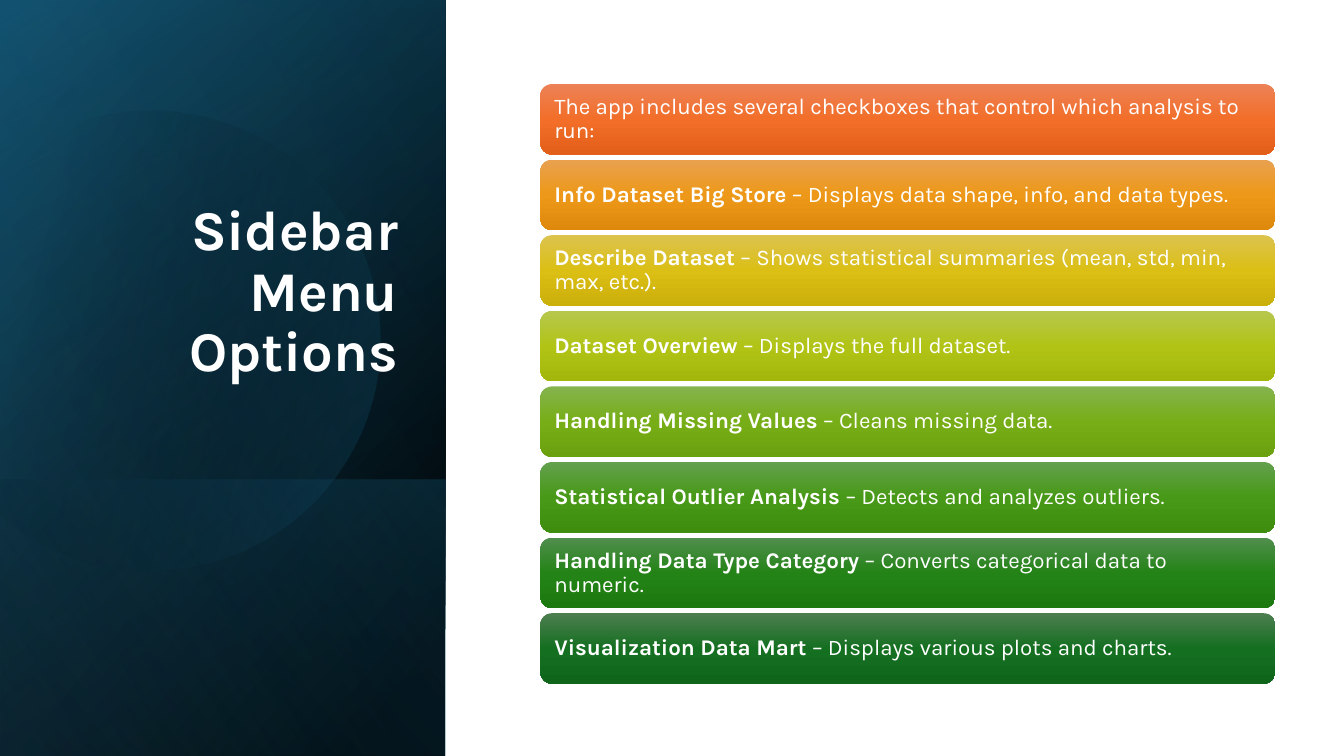
from math import cos, radians, sin
from lxml.etree import SubElement
from pptx import Presentation
from pptx.dml.color import RGBColor
from pptx.enum.shapes import MSO_SHAPE as SHAPE
from pptx.enum.text import MSO_ANCHOR as ANCHOR, PP_ALIGN as ALIGN
from pptx.oxml.ns import qn
from pptx.util import Pt

COLORS = {"white": "FFFFFF", "black": "000000", "navy": "104862",
          "teal": "156082", "sky": "46B1E1"}


def fill_gradient(shape, stops, angle):
    """Fill with (position %, hex colour, opacity %) stops; no line or shadow."""
    shape.shadow.inherit = False
    shape.line.fill.background()
    shape.fill.gradient()
    shape.fill.gradient_angle = 0
    gradient = shape._element.spPr.find(qn("a:gradFill"))
    gradient.find(qn("a:lin")).set("ang", str(angle * 60000))
    stop_list = gradient.find(qn("a:gsLst"))
    for old_stop in list(stop_list):
        stop_list.remove(old_stop)
    for position, color, opacity in stops:
        stop = SubElement(stop_list, qn("a:gs"), pos=str(position * 1000))
        rgb = SubElement(stop, qn("a:srgbClr"), val=color)
        if opacity < 100:
            SubElement(rgb, qn("a:alpha"), val=str(opacity * 1000))


def add_text(paragraph, text, size, bold):
    run = paragraph.add_run()
    run.text = text
    for name, value in {"name": "Karla", "size": Pt(size), "bold": bold}.items():
        setattr(run.font, name, value)
    run.font.color.rgb = RGBColor.from_string(COLORS["white"])


prs = Presentation()
prs.slide_width, prs.slide_height = Pt(960), Pt(540)
slide = prs.slides.add_slide(prs.slide_layouts[5])
shapes = slide.shapes

# Left panel: turned rectangles as (left, top, width, height), stops, angle
PANEL = (-110.9, 110.9, 540, 318.2)
black, teal = COLORS["black"], COLORS["teal"]
layers = [
    (PANEL, [(8, black, 100), (100, COLORS["navy"], 100)], 50),
    (PANEL, [(0, black, 0), (99, teal, 46)], 30),
    ((60.5, 282.2, 197.3, 318.2), [(2, teal, 29), (100, black, 30)], 130),
    ("disc", [(29, black, 0), (100, teal, 43)], 30),
    (PANEL, [(0, black, 0), (99, COLORS["sky"], 11)], 120),
]

# Disc outline: a circle cut off at the slide's left edge, drawn before its turn
DISC_TURN = 343.9
disc_x, disc_y, disc_radius, cut_x = 107.3, 243.4, 164.5, -10.8
pivot_x, pivot_y = 114.1, 240.8
turn = radians(-DISC_TURN)
disc_points = []
for degree in range(-136, 137, 4):
    x = max(cut_x, disc_x + disc_radius * cos(radians(degree))) - pivot_x
    y = disc_y + disc_radius * sin(radians(degree)) - pivot_y
    disc_points.append((Pt(pivot_x + x * cos(turn) - y * sin(turn)),
                        Pt(pivot_y + x * sin(turn) + y * cos(turn))))

for place, stops, angle in layers:
    if place == "disc":
        outline = shapes.build_freeform(*disc_points[0])
        outline.add_line_segments(disc_points[1:], close=True)
        layer = outline.convert_to_shape()
        # The turn is about the frame's centre, so shift it onto the pivot's turn
        offset_x = layer.left + layer.width / 2 - Pt(pivot_x)
        offset_y = layer.top + layer.height / 2 - Pt(pivot_y)
        layer.left += int(offset_x * cos(-turn) - offset_y * sin(-turn) - offset_x)
        layer.top += int(offset_x * sin(-turn) + offset_y * cos(-turn) - offset_y)
        layer.rotation = DISC_TURN
    else:
        layer = shapes.add_shape(SHAPE.RECTANGLE, *map(Pt, place))
        layer.rotation = 90
        layer._element.spPr.find(qn("a:xfrm")).set("flipH", "1")
    fill_gradient(layer, stops, angle)

# Title, moved in front of the panel
title = shapes.title
shapes._spTree.append(title._element)
title.left, title.top, title.width, title.height = map(Pt, (46, 132.5, 245.5, 188.6))
for name, value in {"word_wrap": True, "vertical_anchor": ANCHOR.BOTTOM,
                    "margin_bottom": Pt(47)}.items():
    setattr(title.text_frame, name, value)
heading = title.text_frame.paragraphs[0]
heading.alignment, heading.line_spacing = ALIGN.RIGHT, 0.9
add_text(heading, "Sidebar Menu Options", 40, True)

# Menu options: (bold name, description, gradient from top to bottom)
options = [
    ("", "The app includes several checkboxes that control which analysis to run:",
     ("ED8257", "F26E29", "E25F1A")),
    ("Info Dataset Big Store", " – Displays data shape, info, and data types.",
     ("E9A150", "ED9818", "DE890B")),
    ("Describe Dataset", " – Shows statistical summaries (mean, std, min, max, etc.).",
     ("DCC34E", "DBBF15", "CBAF0A")),
    ("Dataset Overview", " – Displays the full dataset.",
     ("B6C74E", "B1C416", "A3B60C")),
    ("Handling Missing Values", " – Cleans missing data.",
     ("85B34E", "77AE17", "6BA10E")),
    ("Statistical Outlier Analysis", " – Detects and analyzes outliers.",
     ("63A04E", "489917", "3E8D0F")),
    ("Handling Data Type Category", " – Converts categorical data to numeric.",
     ("518E4E", "238316", "1C790F")),
    ("Visualization Data Mart", " – Displays various plots and charts.",
     ("4D7E50", "156F21", "0F661B")),
]
BAR_TOP, BAR_PITCH = 60, 54
for row, (option, description, shades) in enumerate(options):
    bar = shapes.add_shape(SHAPE.ROUNDED_RECTANGLE, Pt(386), Pt(BAR_TOP + row * BAR_PITCH),
                           Pt(525), Pt(50.4))
    fill_gradient(bar, [(i * 50, shade, 100) for i, shade in enumerate(shades)], 90)
    for name, value in {"word_wrap": True, "vertical_anchor": ANCHOR.MIDDLE,
                        "margin_left": Pt(7.5), "margin_right": Pt(7.5)}.items():
        setattr(bar.text_frame, name, value)
    line = bar.text_frame.paragraphs[0]
    line.alignment, line.line_spacing = ALIGN.LEFT, 0.9
    if option:
        add_text(line, option, 16, True)
    add_text(line, description, 16, False)

prs.save("out.pptx")
